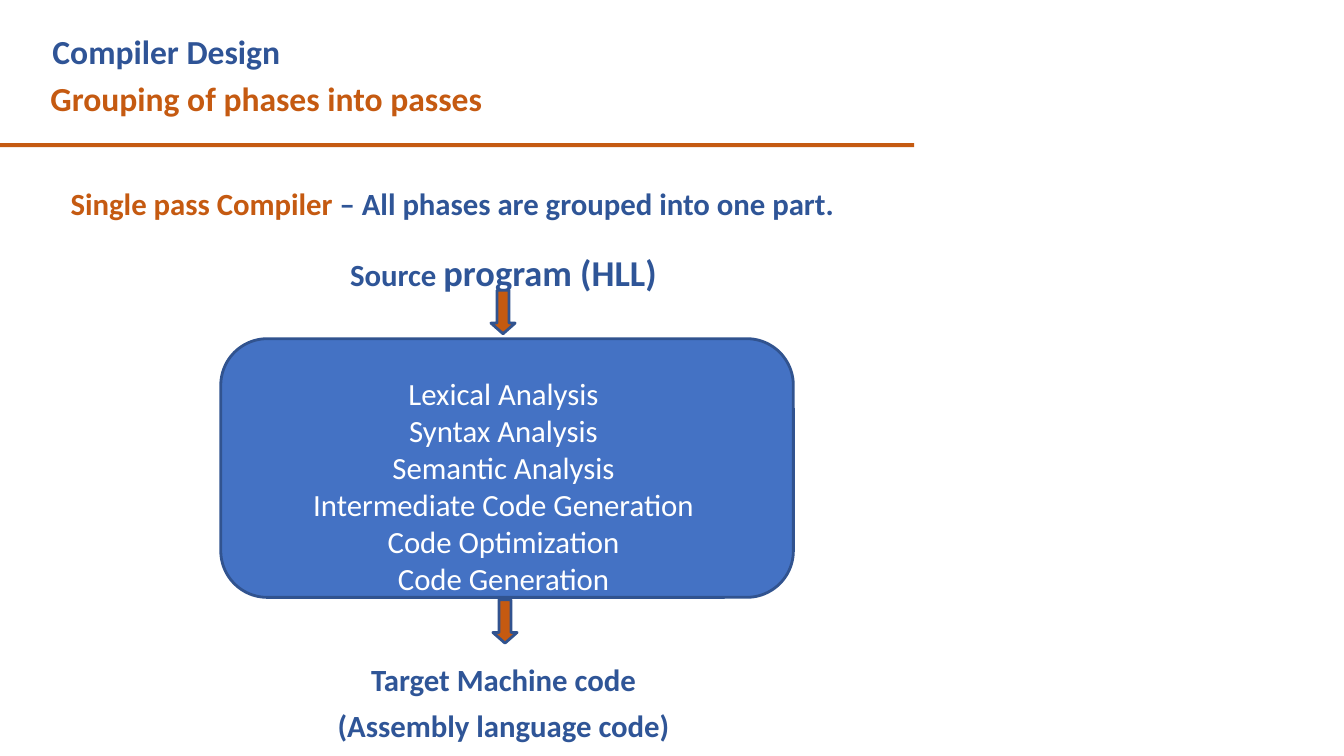
from pptx import Presentation
from pptx import util as u
from pptx.dml import color
from pptx.enum import shapes, text
from pptx.oxml import ns
from lxml import etree

ORANGE, NAVY, LEAD_BLUE = "C55A11", "2F5496", "2F5597"
PANEL_BLUE, OUTLINE, WHITE = "4472C4", "31538F", "FFFFFF"
LINE = 26.4  # line pitch of the 22 pt text

PHASES = ["Lexical Analysis", "Syntax Analysis", "Semantic Analysis",
          "Intermediate Code Generation", "Code Optimization", "Code Generation"]


def rgb(hex_value):
    return color.RGBColor.from_string(hex_value)


def place(part, box):
    part.left, part.top, part.width, part.height = (u.Pt(v) for v in box)


def prepare_frame(placeholder, box, top_inset):
    place(placeholder, box)
    frame = placeholder.text_frame
    frame.word_wrap = True
    frame.auto_size = text.MSO_AUTO_SIZE.NONE
    frame.vertical_anchor = text.MSO_ANCHOR.TOP
    frame.margin_left = frame.margin_right = frame.margin_bottom = 0
    frame.margin_top = u.Pt(top_inset)
    return frame


def write_line(frame, runs, size, hue, bold=True, indent=0.72, before=0,
               pitch=None, align=text.PP_ALIGN.LEFT):
    """Add one unbulleted paragraph and return its runs."""
    first = frame.paragraphs[0]
    line = frame.add_paragraph() if first.runs else first
    for words in runs:
        line.add_run().text = words
    line.alignment = align
    line.space_before = u.Pt(before)
    if pitch:
        line.line_spacing = u.Pt(pitch)
    font = line.font
    font.name, font.size, font.bold = "Calibri", u.Pt(size), bold
    font.color.rgb = rgb(hue)
    properties = line._p.get_or_add_pPr()
    properties.set("marL", str(u.Pt(indent)))
    properties.set("indent", "0")
    bullet_off = etree.Element(ns.qn("a:buNone"))
    properties.find(ns.qn("a:defRPr")).addprevious(bullet_off)
    return line.runs


def add_figure(slide, kind, box, fill, outline=None):
    figure = slide.shapes.add_shape(kind, *(u.Pt(v) for v in box))
    figure.shadow.inherit = False
    figure.fill.solid()
    figure.fill.fore_color.rgb = rgb(fill)
    if outline:
        figure.line.color.rgb = rgb(outline)
        figure.line.width = u.Pt(2)
    else:
        figure.line.fill.background()
    return figure


def build_heading(slide, box):
    left, top, width, height = box
    # Course and topic
    frame = prepare_frame(slide.shapes.title, (left, top, width, height), 5.76)
    write_line(frame, ["Compiler Design"], 24, NAVY, indent=2.16)
    write_line(frame, ["Grouping of phases into passes"], 24, ORANGE, before=4.8)
    # Rule across the left part of the slide
    add_figure(slide, shapes.MSO_SHAPE.RECTANGLE, (0, top + 85.7, 653, 2.9), ORANGE)


def build_pass_diagram(slide, box):
    left, top, width, height = box
    body = slide.placeholders[1]

    # Panel behind the phases
    panel = add_figure(slide, shapes.MSO_SHAPE.ROUNDED_RECTANGLE,
                       (left + 108, top + 110.9, 409, 184.8), PANEL_BLUE, OUTLINE)
    panel.adjustments[0] = 0.18
    body.element.addprevious(panel.element)

    # Arrows into and out of the panel
    for arrow_left, arrow_top in ((301, 76.4), (302.4, 297.4)):
        arrow = add_figure(slide, shapes.MSO_SHAPE.DOWN_ARROW,
                           (left + arrow_left, top + arrow_top, 17.3, 31),
                           ORANGE, OUTLINE)
        arrow.adjustments[0], arrow.adjustments[1] = 0.5, 0.44

    # Definition
    frame = prepare_frame(body, box, 0.72)
    term, _ = write_line(frame, ["Single pass Compiler ",
                                 "– All phases are grouped into one part."],
                         22, LEAD_BLUE, pitch=LINE)
    term.font.color.rgb = rgb(ORANGE)

    # Input, phases and output, centred on the panel
    centred = {"indent": 39.6, "align": text.PP_ALIGN.CENTER}
    _, program = write_line(frame, ["Source ", "program (HLL)"], 22, LEAD_BLUE,
                            before=19.8, pitch=31.7, **centred)
    program.font.size = u.Pt(26)
    for number, phase in enumerate(PHASES):
        write_line(frame, [phase], 22, WHITE, bold=False, pitch=LINE,
                   before=0 if number else 58, **centred)
    for output, gap in (("Target Machine code", 45.7),
                        ("(Assembly language code)", 6.5)):
        write_line(frame, [output], 22, LEAD_BLUE, before=gap, pitch=LINE, **centred)


def main():
    deck = Presentation()
    deck.slide_width, deck.slide_height = u.Pt(960), u.Pt(540)
    slide = deck.slides.add_slide(deck.slide_layouts[1])
    build_heading(slide, (35.3, 16.6, 322.6, 94.3))
    build_pass_diagram(slide, (49.7, 131, 580.3, 405))
    deck.save("out.pptx")


if __name__ == "__main__":
    main()
